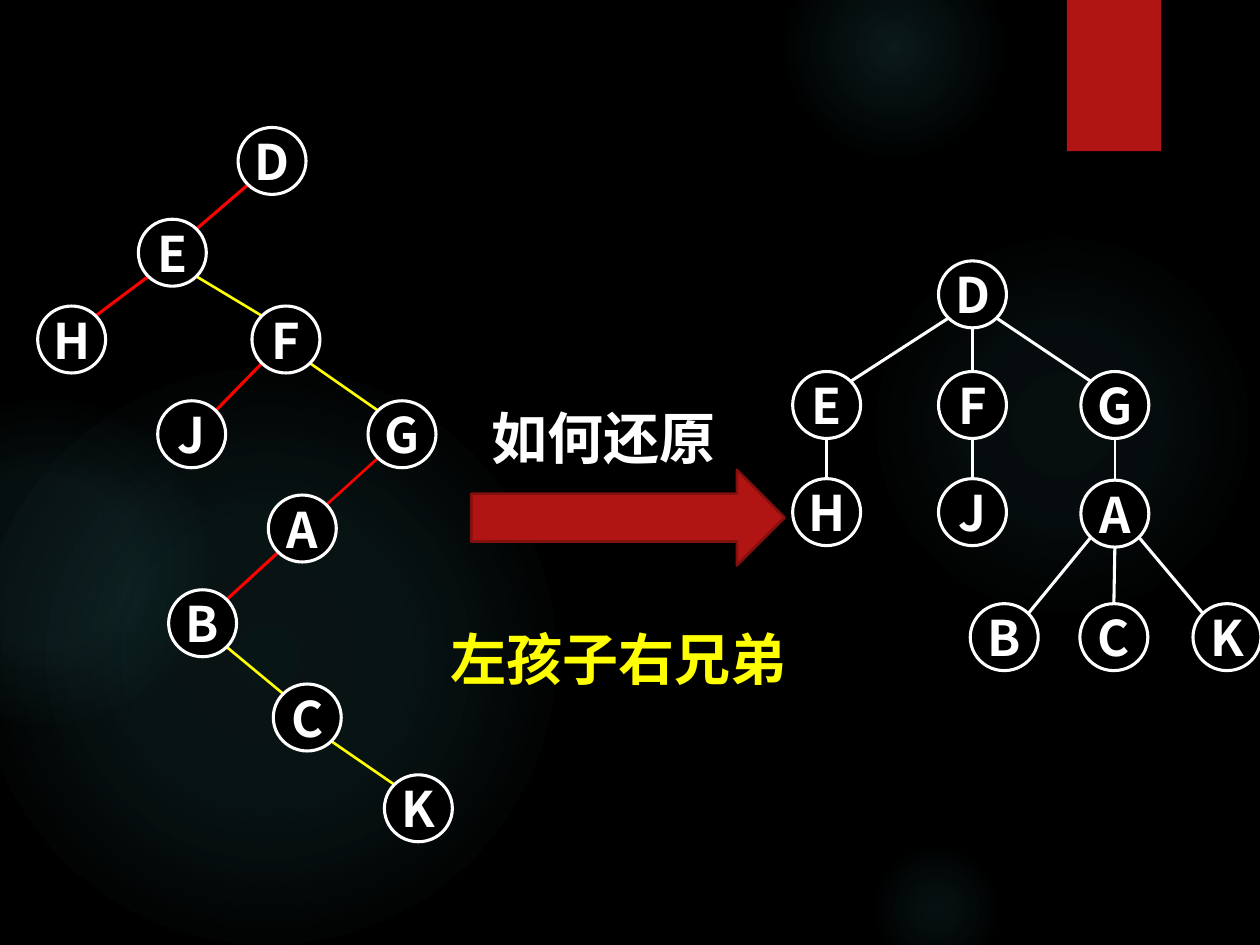
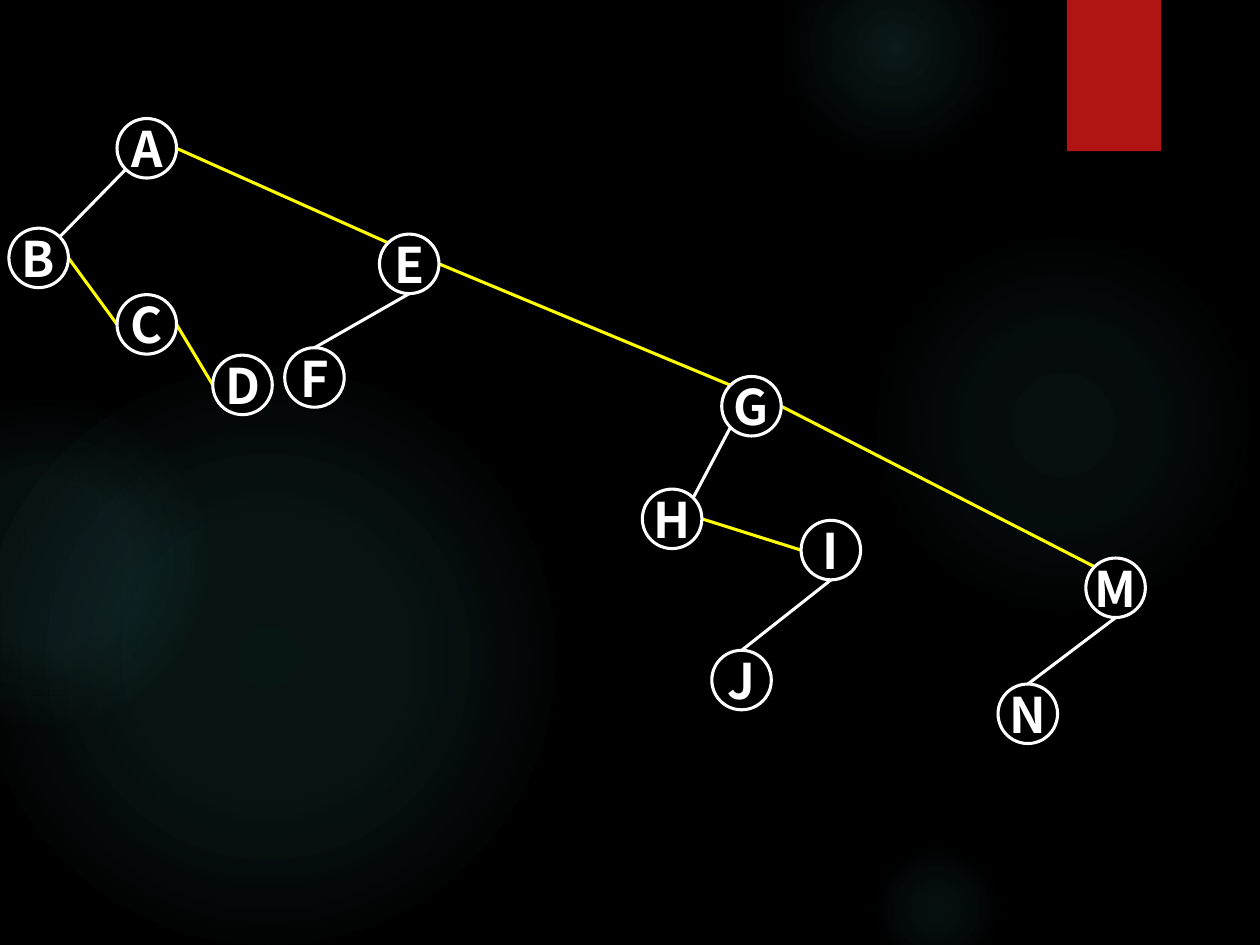
import math

import lxml.etree
import pptx
import pptx.dml.color
import pptx.enum.shapes
import pptx.enum.text
import pptx.oxml
import pptx.oxml.ns
import pptx.util

Cm, Pt = pptx.util.Cm, pptx.util.Pt
KIND = pptx.enum.shapes.MSO_SHAPE
MID = pptx.enum.text.MSO_ANCHOR.MIDDLE
ALIGN = pptx.enum.text.PP_ALIGN

BLACK, WHITE, CRIMSON, MAROON = "000000", "FFFFFF", "B01513", "82100E"
RED, YELLOW, TEAL = "FF0000", "FFFF00", "50B9C1"
CJK = "Noto Sans CJK SC"

# Soft lights: left, top, size, then (position, opacity) in percent
GLOWS = [
    (17.5, 4.65, 7.82, [(0, 7), (36, 6), (69, 0)]),
    (15.8, -1.27, 4.45, [(0, 14), (36, 7), (73, 0)]),
    (17.5, 16.94, 2.74, [(0, 9), (36, 5), (66, 0)]),
    (-0.43, 7.42, 11.63, [(0, 11), (36, 10), (75, 0)]),
    (-2.34, 8.05, 6.55, [(0, 8), (36, 8), (72, 0)]),
]
BAND = (21.51, 0, 1.9, 3.05)

# Degrees clockwise from the right of a node
SIDES = {"E": 0, "SE": 45, "S": 90, "SW": 135, "W": 180, "NW": 225, "N": 270, "NE": 315}

# Nodes: left, top. Edges: both ends, then the sides they join, colour, width
BINARY = {
    "size": (1.37, 1.35),
    "nodes": {
        "D": (4.8, 2.57), "E": (2.79, 4.42), "F": (5.08, 6.17),
        "G": (7.42, 8.08), "H": (0.76, 6.17), "J": (3.18, 8.08),
        "A": (5.41, 9.98), "B": (3.4, 11.89), "C": (5.51, 13.79),
        "K": (7.75, 15.62),
    },
    "edges": [
        ("DE EH FJ AB", "SW", "NE", RED, 1.75),
        ("GA", "SW", "NE", RED, 1.5),
        ("EF FG BC CK", "SE", "NW", YELLOW, 1.5),
    ],
}
GENERAL = {
    "size": (1.37, 1.35),
    "nodes": {
        "D": (18.92, 5.26), "E": (15.98, 7.49), "F": (18.92, 7.49),
        "G": (21.79, 7.49), "H": (15.98, 9.65), "J": (18.92, 9.65),
        "A": (21.79, 9.68), "B": (19.56, 12.17), "C": (21.77, 12.17),
        "K": (24.05, 12.17),
    },
    "edges": [
        ("DE AB", "SW", "NE", WHITE, 1.75),
        ("DF EH FJ AC", "S", "N", WHITE, 1.75),
        ("GA", "S", "N", WHITE, 1.5),
        ("DG AK", "SE", "NW", WHITE, 1.75),
    ],
}
FOREST = {
    "size": (1.2, 1.2),
    "nodes": {
        "A": (2.36, 2.39), "B": (0.18, 4.6), "C": (2.36, 5.94),
        "D": (4.29, 7.16), "E": (7.65, 4.72), "F": (5.74, 7.01),
        "G": (14.55, 7.59), "H": (12.95, 9.86), "I": (16.15, 10.49),
        "J": (14.35, 13.11), "M": (21.89, 11.25), "N": (20.12, 13.79),
    },
    "edges": [
        ("AB GH", "SW", "NE", WHITE, 1.75),
        ("EF IJ MN", "S", "N", WHITE, 1.75),
        ("AE EG GM", "E", "NW", YELLOW, 1.75),
        ("BC CD HI", "E", "W", YELLOW, 1.75),
    ],
}
ARROW = (9.5, 9.47, 6.32, 1.93)
LABELS = [
    ("左孩子右兄弟", (8.84, 12.47, 7.37, 1.63), "Arial", YELLOW, False),
    ("如何还原", (9.65, 8, 6.32, 1.63), "Quicksand", WHITE, True),
]
PAGES = [([BINARY, GENERAL], LABELS, [ARROW]), ([FOREST], [], [])]


def rgb(code):
    return pptx.dml.color.RGBColor.from_string(code)


def add_run(para, text, face, size, color):
    run = para.add_run()
    run.text = text
    font = run.font
    font.name, font.size, font.bold = face, Pt(size), True
    font.color.rgb = rgb(color)
    east = lxml.etree.SubElement(run._r.get_or_add_rPr(), pptx.oxml.ns.qn("a:ea"))
    east.set("typeface", CJK)


def add_form(slide, kind, box, fill, line=None, width=1.75):
    form = slide.shapes.add_shape(kind, *map(Cm, box))
    form.shadow.inherit = False
    form.fill.solid()
    form.fill.fore_color.rgb = rgb(fill)
    if line:
        form.line.color.rgb = rgb(line)
        form.line.width = Pt(width)
    else:
        form.line.fill.background()
    return form


def add_glow(slide, left, top, size, stops):
    glow = add_form(slide, KIND.OVAL, (left, top, size, size), TEAL)
    parts = "".join(
        f'<a:gs pos="{pos * 1000}"><a:srgbClr val="{TEAL}">'
        f'<a:alpha val="{alpha * 1000}"/></a:srgbClr></a:gs>'
        for pos, alpha in stops)
    grad = pptx.oxml.parse_xml(
        f'<a:gradFill {pptx.oxml.ns.nsdecls("a")} rotWithShape="1">'
        f'<a:gsLst>{parts}</a:gsLst><a:path path="circle">'
        '<a:fillToRect l="50000" t="50000" r="50000" b="50000"/>'
        '</a:path></a:gradFill>')
    props = glow._element.spPr
    props.replace(props.find(pptx.oxml.ns.qn("a:solidFill")), grad)


def add_node(slide, text, box):
    frame = add_form(slide, KIND.OVAL, box, BLACK, WHITE).text_frame
    frame.word_wrap = False
    frame.vertical_anchor = MID
    frame.margin_left = frame.margin_right = 0
    frame.margin_top = frame.margin_bottom = 0
    para = frame.paragraphs[0]
    para.alignment = ALIGN.CENTER
    add_run(para, text, CJK, 28, WHITE)


def rim(spot, size, side):
    """Point on the rim of the node at spot, on the given side."""
    turn = math.radians(SIDES[side])
    swing = math.cos(turn), math.sin(turn)
    return [Cm(s + d / 2 * (1 + w)) for s, d, w in zip(spot, size, swing)]


def add_edge(slide, start, end, color, width):
    edge = slide.shapes.add_connector(
        pptx.enum.shapes.MSO_CONNECTOR.STRAIGHT, *start, *end)
    edge.line.color.rgb = rgb(color)
    edge.line.width = Pt(width)
    lxml.etree.SubElement(edge._element.spPr, pptx.oxml.ns.qn("a:effectLst"))


def add_tree(slide, tree):
    size, nodes = tree["size"], tree["nodes"]
    for pairs, out, into, color, width in tree["edges"]:
        for head, child in pairs.split():
            add_edge(slide, rim(nodes[head], size, out),
                     rim(nodes[child], size, into), color, width)
    for text, spot in nodes.items():
        add_node(slide, text, spot + size)


def add_label(slide, text, box, face, color, wrap):
    frame = slide.shapes.add_textbox(*map(Cm, box)).text_frame
    frame.word_wrap = wrap
    add_run(frame.paragraphs[0], text, face, 32, color)


def add_page(deck):
    """Blank slide with the shared lights and red band."""
    slide = deck.slides.add_slide(deck.slide_layouts[6])
    for glow in GLOWS:
        add_glow(slide, *glow)
    add_form(slide, KIND.RECTANGLE, BAND, CRIMSON)
    return slide


def main():
    deck = pptx.Presentation()
    deck.slide_width, deck.slide_height = Cm(25.4), Cm(19.05)
    back = deck.slide_master.background.fill
    back.solid()
    back.fore_color.rgb = rgb(BLACK)
    for trees, labels, arrows in PAGES:
        slide = add_page(deck)
        for tree in trees:
            add_tree(slide, tree)
        for label in labels:
            add_label(slide, *label)
        for arrow in arrows:
            add_form(slide, KIND.RIGHT_ARROW, arrow, CRIMSON, MAROON, 1.5)
    deck.save("out.pptx")


if __name__ == "__main__":
    main()
